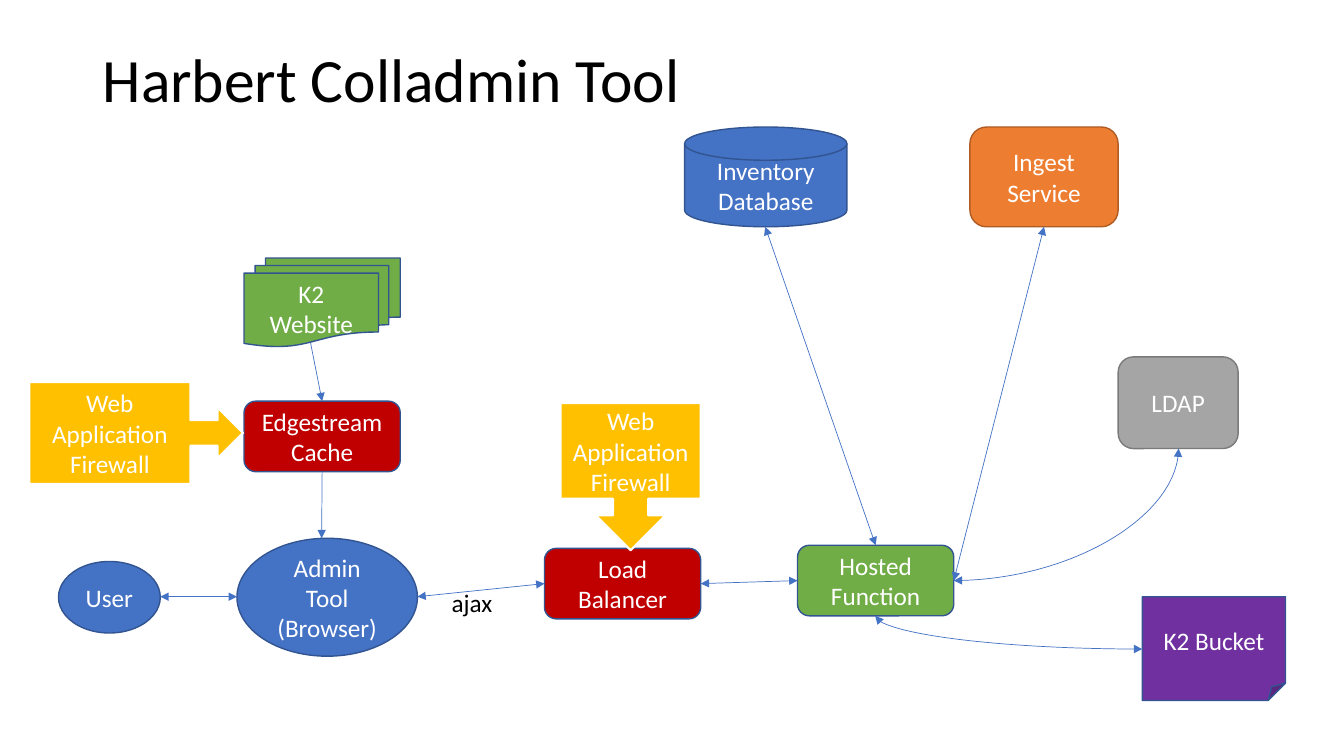
from lxml import etree
from pptx import Presentation
from pptx.dml.color import RGBColor
from pptx.enum.shapes import MSO_CONNECTOR, MSO_SHAPE
from pptx.enum.text import MSO_ANCHOR, PP_ALIGN
from pptx.oxml.ns import qn
from pptx.util import Emu, Pt

PX = 9144  # 100 px to the inch

STRAIGHT, CURVE = MSO_CONNECTOR.STRAIGHT, MSO_CONNECTOR.CURVE
OVAL, ROUND = MSO_SHAPE.OVAL, MSO_SHAPE.ROUNDED_RECTANGLE
DOCS, DISK = MSO_SHAPE.FLOWCHART_MULTIDOCUMENT, MSO_SHAPE.FLOWCHART_MAGNETIC_DISK
NOTE = MSO_SHAPE.FOLDED_CORNER
DOWN_CALLOUT = MSO_SHAPE.DOWN_ARROW_CALLOUT
RIGHT_CALLOUT = MSO_SHAPE.RIGHT_ARROW_CALLOUT
MIDDLE, TOP = MSO_ANCHOR.MIDDLE, MSO_ANCHOR.TOP
CENTER, LEFT = PP_ALIGN.CENTER, PP_ALIGN.LEFT
SITE_TOP, SITE_LEFT, SITE_BOTTOM, SITE_RIGHT = range(4)

WHITE = RGBColor(0xFF, 0xFF, 0xFF)
BLACK = RGBColor(0x00, 0x00, 0x00)
BLUE = RGBColor(0x44, 0x72, 0xC4)
NAVY = RGBColor(0x32, 0x54, 0x91)
RED = RGBColor(0xC0, 0x00, 0x00)
GREEN = RGBColor(0x70, 0xAD, 0x47)
GOLD = RGBColor(0xFF, 0xC0, 0x00)
ORANGE = RGBColor(0xED, 0x7D, 0x31)
BROWN = RGBColor(0xAF, 0x5C, 0x24)
PURPLE = RGBColor(0x70, 0x30, 0xA0)
GRAY = RGBColor(0xA5, 0xA5, 0xA5)
DARK_GRAY = RGBColor(0x7A, 0x7A, 0x7A)


def px(*values):
    return [Emu(v * PX) for v in values]


def write(tf, text, color, size=18, align=CENTER, anchor=MIDDLE, wrap=True, spacing=1.0):
    """Fill a text frame, one paragraph per line of text."""
    for name, value in {"word_wrap": wrap, "vertical_anchor": anchor}.items():
        setattr(tf, name, value)
    tf.text = text
    for p in tf.paragraphs:
        for name, value in {"alignment": align, "line_spacing": spacing}.items():
            setattr(p, name, value)
        font = p.runs[0].font
        for name, value in {"name": "Calibri", "size": Pt(size)}.items():
            setattr(font, name, value)
        font.color.rgb = color


def add_node(s, kind, box, text, fill, line=NAVY, width=1):
    sp = s.shapes.add_shape(kind, *px(*box))
    sp.shadow.inherit = False
    sp.fill.solid()
    sp.fill.fore_color.rgb = fill
    sp.line.color.rgb = line
    sp.line.width = Pt(width)
    write(sp.text_frame, text, WHITE)
    return sp


def add_label(s, box, text, **fmt):
    sp = s.shapes.add_textbox(*px(*box))
    write(sp.text_frame, text, BLACK, align=LEFT, **fmt)


def add_link(s, start, end, begin=None, finish=None, kind=STRAIGHT, both=True):
    """Draw an arrow; begin and finish are (shape, site) joints."""
    cx = s.shapes.add_connector(kind, *px(*start, *end))
    if begin:
        cx.begin_connect(*begin)
    if finish:
        cx.end_connect(*finish)
    cx.line.color.rgb = BLUE
    cx.line.width = Pt(0.5)
    sppr = cx._element.spPr
    if kind == CURVE:
        # quarter bend: leaves horizontally, arrives vertically
        sppr.find(qn("a:prstGeom")).set("prst", "curvedConnector2")
    ln = sppr.find(qn("a:ln"))
    for tag in ("a:headEnd", "a:tailEnd") if both else ("a:tailEnd",):
        etree.SubElement(ln, qn(tag), type="triangle")
    etree.SubElement(sppr, qn("a:effectLst"))


def main():
    prs = Presentation()
    prs.slide_width, prs.slide_height = px(1333, 750)
    s = prs.slides.add_slide(prs.slide_layouts[6])

    # Title
    add_label(s, (92, 40, 1150, 84), "Harbert Colladmin Tool", size=44, spacing=0.9)

    # Browser side
    add_node(s, OVAL, (58, 557, 101, 71), "User", BLUE)
    add_node(s, OVAL, (235, 534, 179, 117), "Admin Tool (Browser)", BLUE)
    cache = add_node(s, ROUND, (242, 398, 155, 70), "Edgestream Cache", RED)
    add_node(s, DOCS, (242, 256, 155, 88), "K2 Website", GREEN)

    # Server side
    balancer = add_node(s, ROUND, (540, 544, 155, 70), "Load Balancer", RED)
    function = add_node(s, ROUND, (791, 541, 155, 70), "Hosted Function", GREEN)
    add_node(s, DISK, (679, 126, 161, 99), "Inventory Database", BLUE)
    ingest = add_node(s, ROUND, (962, 126, 147, 99), "Ingest Service", ORANGE, BROWN)
    add_node(s, ROUND, (1109, 354, 119, 91), "LDAP", GRAY, DARK_GRAY)
    add_node(s, NOTE, (1133, 592, 142, 103), "K2 Bucket", PURPLE)

    # Firewalls
    add_node(s, DOWN_CALLOUT, (556, 400, 139, 146), "Web Application\nFirewall", GOLD, WHITE, 1.5)
    firewall = add_node(s, RIGHT_CALLOUT, (29, 379, 212, 101),
                        "Web Application Firewall", GOLD, WHITE, 1.5)
    firewall.adjustments[3] = 0.754 if firewall.adjustments else 0.75

    # One-way arrows
    add_link(s, (308, 340), (319, 398), finish=(cache, SITE_TOP), both=False)
    add_link(s, (319, 468), (319, 534), begin=(cache, SITE_BOTTOM), both=False)

    # Two-way arrows
    add_link(s, (159, 592), (235, 592))
    add_link(s, (414, 592), (540, 579), finish=(balancer, SITE_LEFT))
    add_link(s, (695, 579), (791, 576), (balancer, SITE_RIGHT), (function, SITE_LEFT))
    add_link(s, (759, 225), (868, 541), finish=(function, SITE_TOP))
    add_link(s, (1036, 225), (946, 576), (ingest, SITE_BOTTOM), (function, SITE_RIGHT))
    add_link(s, (1133, 644), (868, 611), kind=CURVE)
    add_link(s, (946, 576), (1169, 445), kind=CURVE)
    add_label(s, (438, 578, 61, 40), "ajax", anchor=TOP, wrap=False)

    prs.save("out.pptx")


if __name__ == "__main__":
    main()
